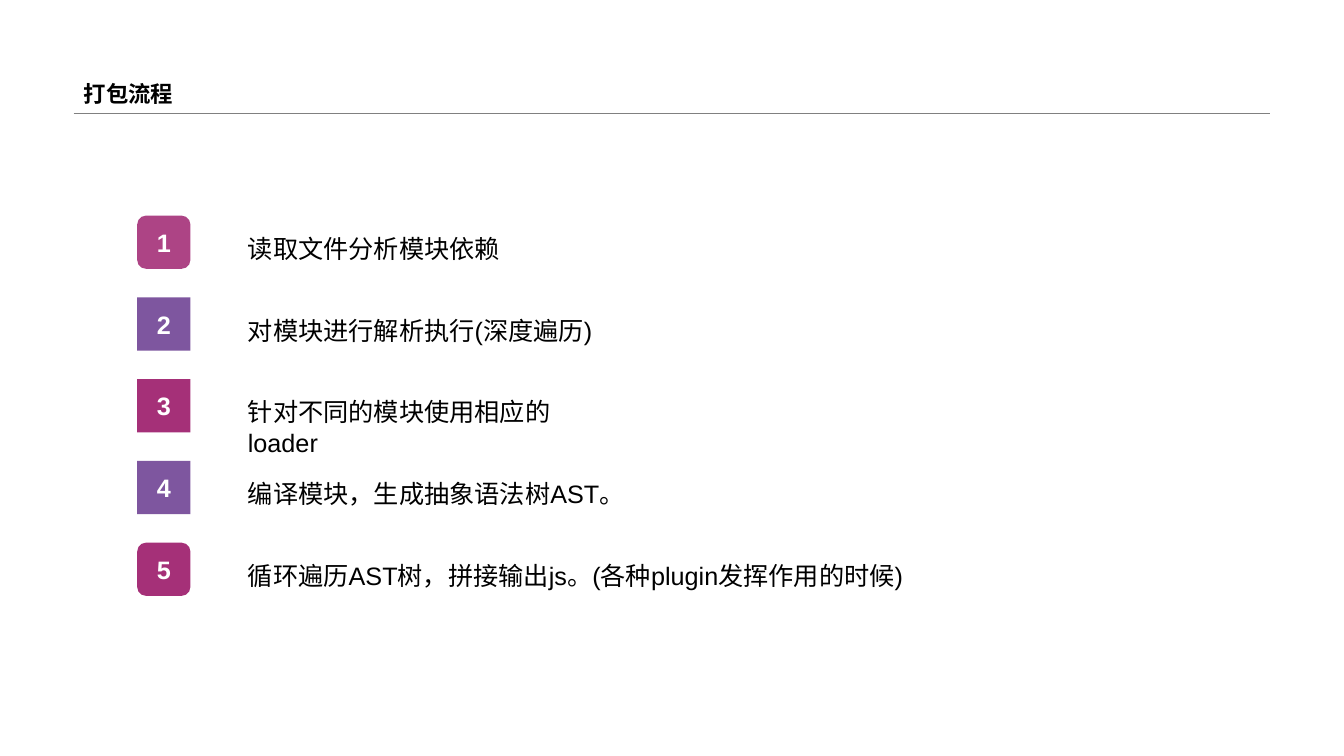
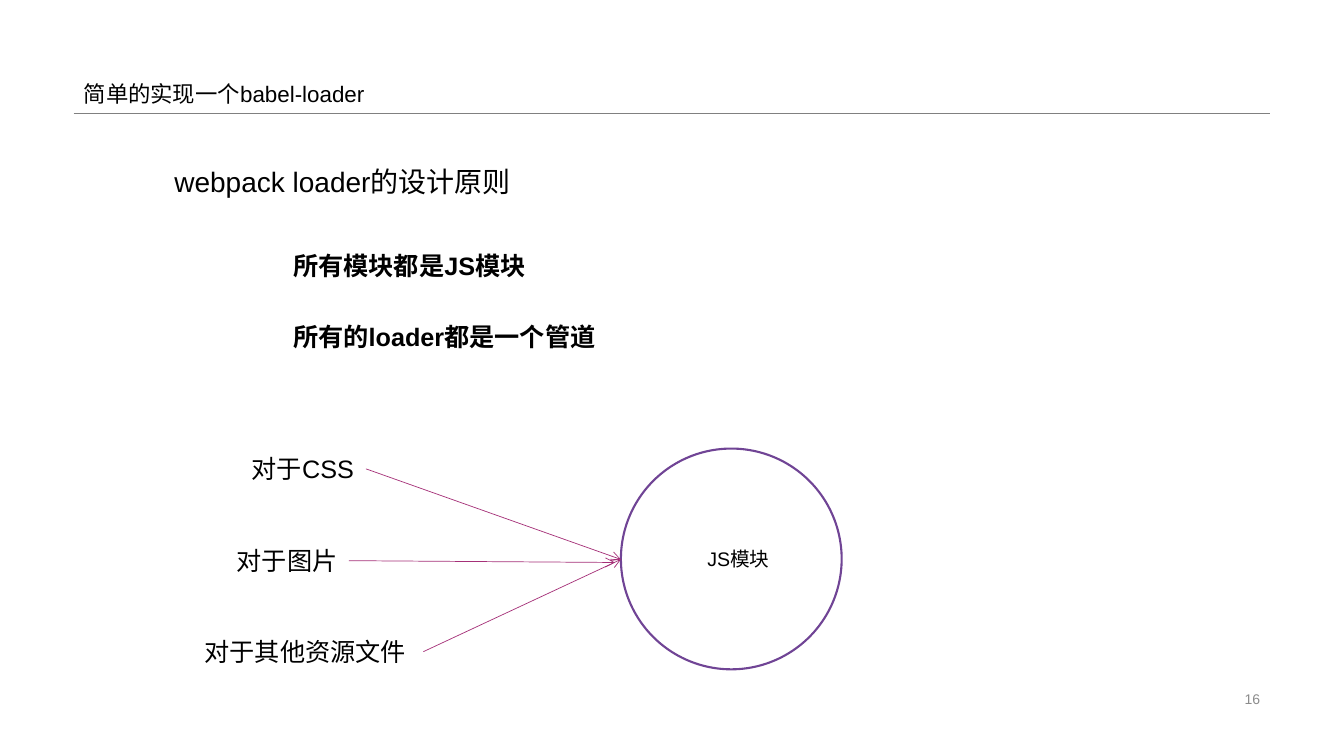
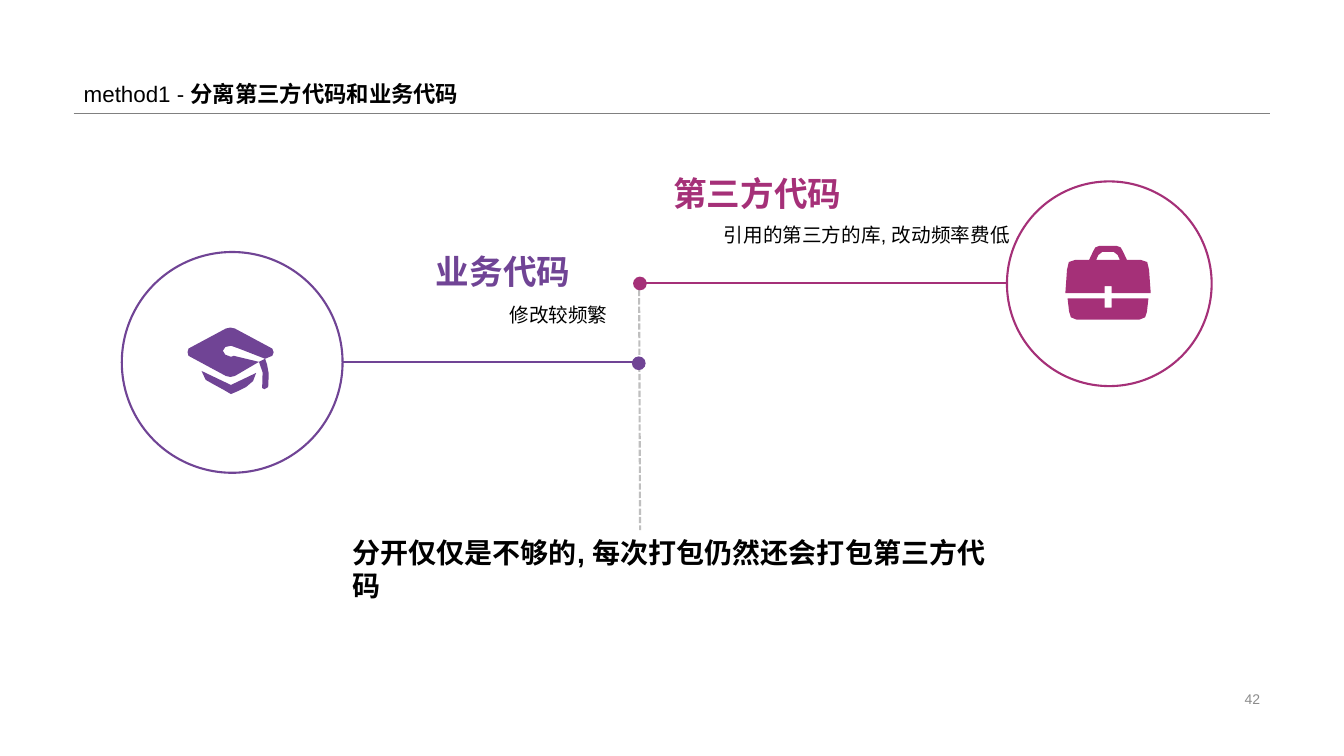
"""Build three slides about bundling, loaders and code splitting."""
from dataclasses import dataclass

from lxml.etree import SubElement
from pptx import Presentation
from pptx.dml.color import RGBColor
from pptx.enum.dml import MSO_LINE
from pptx.enum.shapes import MSO_CONNECTOR, MSO_SHAPE
from pptx.enum.text import MSO_ANCHOR, MSO_AUTO_SIZE, PP_ALIGN
from pptx.oxml.ns import qn
from pptx.util import Pt


@dataclass(frozen=True)
class Theme:
    font: str = "Arial"
    ink: str = "000000"
    white: str = "FFFFFF"
    magenta: str = "A53078"
    purple: str = "704495"
    rule: str = "808080"
    dash: str = "BFBFBF"
    muted: str = "8C8C8C"
    heading: int = 24
    lead: int = 20
    body: int = 18
    title: int = 16
    small: int = 14
    footer: int = 10


T = Theme()
LEFT, WIDTH, RULE_Y = 52.6, 854.6, 80.6


def mirror(half, axis):
    return half + [(2 * axis - x, y) for x, y in reversed(half)]


BRIEFCASE = [
    mirror([(33, 28.8), (33, 33.8), (61, 33.8), (59.8, 17), (58.5, 11.5), (54, 10),
            (44, 10), (41, 3.6), (39.5, 1), (36.7, 0)], 30.5),
    mirror([(39, 10), (37.4, 6.5), (34.6, 4.3)], 30.5),
    mirror([(33, 44), (33, 37.4), (59.4, 37.4), (58.3, 47), (57, 51), (53, 52.6)], 30.5),
]
GRADUATION_CAP = [
    [(10, 31), (13, 37.4), (19.4, 41), (26, 44.6), (31, 47.5), (36, 45.4), (41.8, 42.5),
     (46.8, 38.2), (49, 32.4), (31, 41)],
    [(60.5, 15), (33.8, 0.7), (30.6, 0), (27.4, 0.7), (0.7, 15), (0, 17.6), (0.7, 20.2),
     (27.4, 34.6), (30.6, 35.3), (33.8, 34.6), (51, 24.5), (33, 20.2), (31, 20.9),
     (27, 19.4), (25.2, 16.6), (27, 13.9), (31, 13), (36.7, 15), (55.4, 22.3),
     (60.5, 20.2), (61.5, 17.6)],
    [(53.3, 43.2), (55, 44), (57.6, 42.5), (58, 33), (56.8, 26.5), (55.4, 22.3),
     (51, 24.5), (53.6, 32)],
]


class Deck:
    def __init__(self):
        self.prs = Presentation()
        self.prs.slide_width, self.prs.slide_height = Pt(960), Pt(540)
        self.s = None

    def slide(self, *title, number=None):
        self.s = self.prs.slides.add_slide(self.prs.slide_layouts[5])
        self.line((LEFT, RULE_Y), (LEFT + WIDTH, RULE_Y), T.rule, 0.25)
        sp = self.s.shapes.title
        sp.left, sp.top, sp.width, sp.height = Pt(LEFT), Pt(0), Pt(WIDTH), Pt(RULE_Y)
        tf = sp.text_frame
        tf.auto_size, tf.vertical_anchor = MSO_AUTO_SIZE.NONE, MSO_ANCHOR.BOTTOM
        p = tf.paragraphs[0]
        p.alignment, p.line_spacing = PP_ALIGN.LEFT, 0.9
        self.style(p.font, T.title, T.ink)
        for text, bold in title:
            r = p.add_run()
            r.text, r.font.bold = text, bold
        if number:
            self.text((678.2, 491, 229, 16.6), number, T.footer, T.muted,
                      align=PP_ALIGN.RIGHT, anchor=MSO_ANCHOR.MIDDLE, grow=False)

    def style(self, font, size, color, bold=False):
        font.name, font.size, font.bold = T.font, Pt(size), bold
        font.color.rgb = RGBColor.from_string(color)

    def set_text(self, tf, text, size, color, bold, align, anchor, wrap):
        tf.word_wrap, tf.vertical_anchor = wrap, anchor
        p = tf.paragraphs[0]
        p.text, p.alignment = text, align
        self.style(p.font, size, color, bold)
        return p

    def text(self, box, text, size=T.body, color=T.ink, bold=False, align=PP_ALIGN.LEFT,
             anchor=MSO_ANCHOR.TOP, spacing=None, sides=None, wrap=True, grow=True):
        sp = self.s.shapes.add_textbox(*map(Pt, box))
        tf = sp.text_frame
        p = self.set_text(tf, text, size, color, bold, align, anchor, wrap)
        if spacing:
            p.line_spacing = spacing
        if sides:
            tf.margin_left, tf.margin_right = map(Pt, sides)
            tf.margin_top = tf.margin_bottom = 0
        tf.auto_size = MSO_AUTO_SIZE.SHAPE_TO_FIT_TEXT if grow else MSO_AUTO_SIZE.NONE
        return sp

    def fill(self, sp, color, opacity=100):
        sp.shadow.inherit = False
        sp.fill.solid()
        sp.fill.fore_color.rgb = RGBColor.from_string(color)
        sp.line.fill.background()
        if opacity < 100:
            clr = sp._element.spPr.find(qn("a:solidFill"))[0]
            SubElement(clr, qn("a:alpha")).set("val", str(opacity * 1000))

    def badge(self, box, text, color, opacity, rounded):
        sp = self.s.shapes.add_shape(MSO_SHAPE.ROUNDED_RECTANGLE, *map(Pt, box))
        if not rounded:
            sp.adjustments[0] = 0
        self.fill(sp, color, opacity)
        self.set_text(sp.text_frame, text, T.body, T.white, True, PP_ALIGN.CENTER,
                      MSO_ANCHOR.MIDDLE, False)

    def circle(self, x, y, size, color, solid=False):
        sp = self.s.shapes.add_shape(MSO_SHAPE.OVAL, Pt(x), Pt(y), Pt(size), Pt(size))
        self.fill(sp, color)
        if not solid:
            sp.fill.background()
            sp.line.color.rgb = RGBColor.from_string(color)
            sp.line.width = Pt(1.5)

    def line(self, start, end, color, width=1.5, dashed=False, arrow=False, source=None):
        c = self.s.shapes.add_connector(MSO_CONNECTOR.STRAIGHT, *map(Pt, start + end))
        if source:
            c.begin_connect(source, 3)
        c.line.color.rgb = RGBColor.from_string(color)
        c.line.width = Pt(width)
        if dashed:
            c.line.dash_style = MSO_LINE.SQUARE_DOT
        spPr = c._element.spPr
        if arrow:
            SubElement(spPr.find(qn("a:ln")), qn("a:tailEnd")).set("type", "arrow")
        SubElement(spPr, qn("a:effectLst"))

    def icon(self, x, y, outlines, color):
        fb = None
        for outline in outlines:
            first, *rest = [(Pt(px), Pt(py)) for px, py in outline]
            if fb is None:
                fb = self.s.shapes.build_freeform(*first, scale=1.0)
            else:
                fb.move_to(*first)
            fb.add_line_segments(rest, close=True)
        self.fill(fb.convert_to_shape(Pt(x), Pt(y)), color)


def bundling(d):
    d.slide(("打包流程", True))
    steps = [
        ("读取文件分析模块依赖", 196, T.magenta, 90, True),
        ("对模块进行解析执行(深度遍历)", 260.6, T.purple, 90, False),
        ("针对不同的模块使用相应的loader", 280, T.magenta, 100, False),
        ("编译模块，生成抽象语法树AST。", 283.7, T.purple, 90, False),
        ("循环遍历AST树，拼接输出js。(各种plugin发挥作用的时候)", 482.4, T.magenta, 100, True),
    ]
    for i, (text, width, color, opacity, rounded) in enumerate(steps):
        y = 154 + 58.4 * i
        d.badge((98, y, 38, 38), str(i + 1), color, opacity, rounded)
        d.text((170, y + 9, width, 29), text)


def loader(d):
    d.slide(("简单的实现一个babel-loader", False), number="16")
    d.circle(443.5, 320.4, 157.7, T.purple)
    sources = [
        ((172.8, 320.4, 88.6, 29), "对于CSS", (443.5, 399.6)),
        ((162, 386, 87.3, 29), "对于图片", (439.2, 401.8)),
        ((139, 451, 163.4, 29), "对于其他资源文件", (443.5, 399.6)),
    ]
    for box, text, tip in sources:
        x, y, w, h = box
        sp = d.text(box, text)
        d.line((x + w, y + h / 2), tip, T.magenta, 0.5, arrow=True, source=sp)
    d.text((498.2, 387.4, 60.5, 24.5), "JS模块", T.small)
    d.text((117.4, 113.8, 360.7, 31.7), "webpack loader的设计原则", T.lead)
    d.text((202.3, 175, 213.8, 29), "所有模块都是JS模块", bold=True)
    d.text((202.3, 226, 236.9, 29), "所有的loader都是一个管道", bold=True)


def splitting(d):
    d.slide(("method1 - ", False), ("分离第三方代码和业务代码", True), number="42")
    d.line((456.5, 201), (457.2, 378.7), T.dash, dashed=True)
    d.line((719.3, 202.4), (458, 202.4), T.magenta)
    d.circle(452.2, 197.6, 9.8, T.magenta, solid=True)
    d.circle(719.3, 129.6, 146.2, T.magenta)
    d.icon(761, 175.7, BRIEFCASE, T.magenta)
    d.line((244.8, 258.5), (456.5, 258.5), T.purple)
    d.circle(451.4, 254.6, 9.8, T.purple, solid=True)
    d.circle(87, 180, 157.7, T.purple)
    d.icon(134, 234, GRADUATION_CAP, T.purple)
    d.text((303, 180, 121.7, 27.4), "业务代码", T.heading, T.purple, True, PP_ALIGN.RIGHT,
           MSO_ANCHOR.MIDDLE, sides=(11.5, 17.3), wrap=False, grow=False)
    d.text((347, 214.6, 104.4, 19.4), "修改较频繁", T.small, align=PP_ALIGN.RIGHT,
           anchor=MSO_ANCHOR.MIDDLE, spacing=1.1, sides=(11.5, 17.3), grow=False)
    d.text((463.7, 124.6, 195, 27.4), "第三方代码", T.heading, T.magenta, True,
           anchor=MSO_ANCHOR.BOTTOM, sides=(17.3, 17.3), wrap=False, grow=False)
    d.text((499.7, 152.6, 242, 27.4), "引用的第三方的库, 改动频率费低", T.small,
           anchor=MSO_ANCHOR.MIDDLE, spacing=1.2, sides=(17.3, 17.3), grow=False)
    d.text((244.8, 378.7, 485.3, 31.7),
           "分开仅仅是不够的, 每次打包仍然还会打包第三方代码", T.lead, bold=True)


def main():
    d = Deck()
    for build in (bundling, loader, splitting):
        build(d)
    d.prs.save("out.pptx")


if __name__ == "__main__":
    main()
